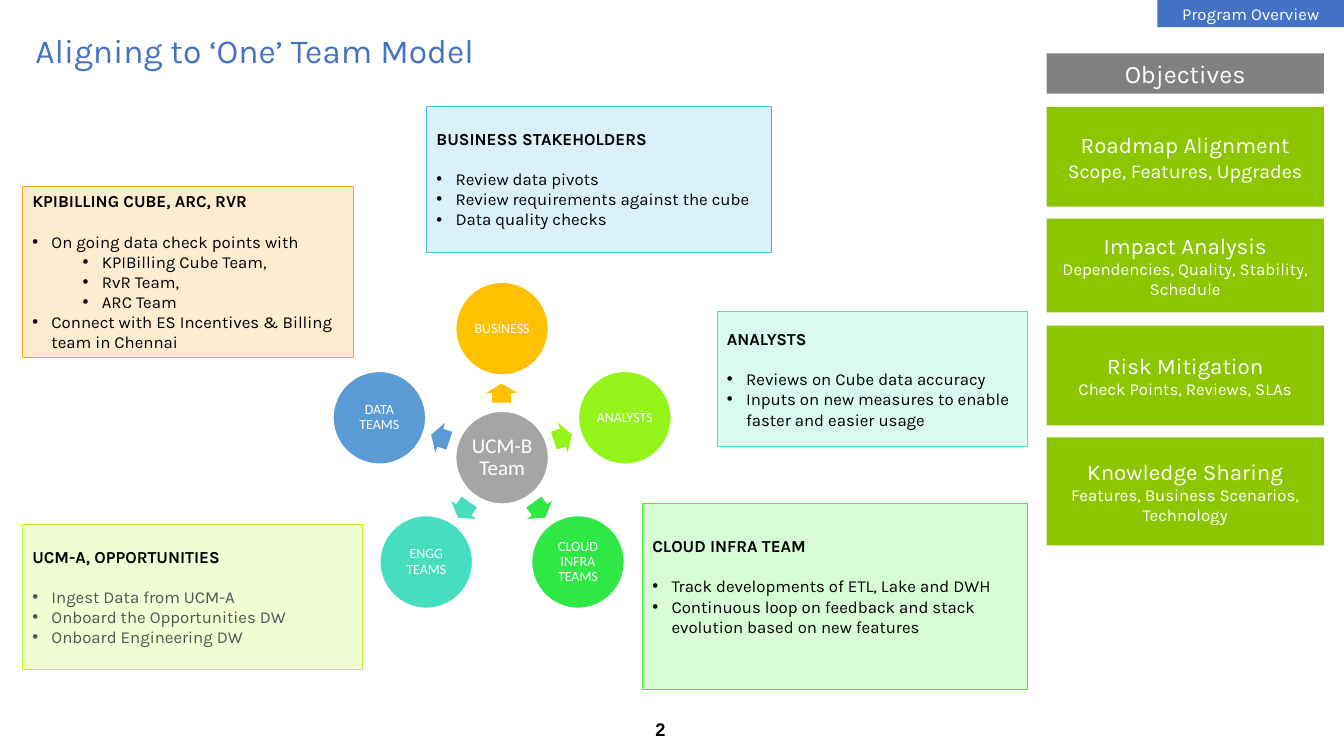
import math
from dataclasses import dataclass
from typing import Optional

from pptx import Presentation
from pptx import util as u
from pptx.dml.color import RGBColor
from pptx.enum import shapes, text
from pptx.oxml.xmlchemy import OxmlElement


@dataclass(frozen=True)
class Theme:
    font: str = "Karla"
    wheel_font: str = "Calibri"
    number_font: str = "Arial"
    blue: str = "4472C4"
    green: str = "8CC600"
    grey: str = "808080"
    hub: str = "A5A5A5"
    white: str = "FFFFFF"
    black: str = "000000"
    muted: str = "525252"
    title: float = 24
    header: float = 18
    objective: float = 16
    body: float = 12
    team: float = 10
    hub_size: float = 15
    number: float = 13


THEME = Theme()


@dataclass(frozen=True)
class Box:
    left: float
    top: float
    width: float
    height: float


@dataclass(frozen=True)
class Objective:
    top: float
    height: float
    name: str
    detail: str
    detail_size: float = THEME.body


@dataclass(frozen=True)
class Team:
    name: str
    color: str


@dataclass(frozen=True)
class Panel:
    box: Box
    color: str
    heading: str
    items: list[tuple[int, str]]  # indent level, wording
    item_color: str = THEME.black
    bottom_inset: float = 0.05


OBJECTIVES = [
    Objective(1.06, 0.99, "Roadmap Alignment", "Scope, Features, Upgrades", 14),
    Objective(2.17, 0.93, "Impact Analysis", "Dependencies, Quality, Stability, Schedule"),
    Objective(3.23, 0.99, "Risk Mitigation", "Check Points, Reviews, SLAs"),
    Objective(4.34, 1.07, "Knowledge Sharing", "Features, Business Scenarios, Technology"),
]

# Clockwise from the top
TEAMS = [
    Team("BUSINESS", "FFC000"),
    Team("ANALYSTS", "94F319"),
    Team("CLOUD INFRA TEAMS", "30E845"),
    Team("ENGG TEAMS", "46DEBF"),
    Team("DATA TEAMS", "5B9BD5"),
]

PANELS = [
    Panel(Box(7.11, 3.09, 3.08, 1.34), "3CEEAC", "ANALYSTS", [
        (0, "Reviews on Cube data accuracy"),
        (0, "Inputs on new measures to enable faster and easier usage")]),
    Panel(Box(6.37, 4.99, 3.82, 1.85), "39F231", "CLOUD INFRA TEAM", [
        (0, "Track developments of ETL, Lake and DWH"),
        (0, "Continuous loop on feedback and stack evolution based on new features")],
        bottom_inset=0.25),
    Panel(Box(0.22, 5.2, 3.37, 1.44), "BAF626", "UCM-A, OPPORTUNITIES", [
        (0, "Ingest Data from UCM-A"),
        (0, "Onboard the Opportunities DW"),
        (0, "Onboard Engineering DW")], item_color=THEME.muted),
    Panel(Box(0.22, 1.85, 3.28, 1.69), "FAA41A", "KPIBILLING CUBE, ARC, RVR", [
        (0, "On going data check points with"),
        (1, "KPIBilling Cube Team,"),
        (1, "RvR Team,"),
        (1, "ARC Team"),
        (0, "Connect with ES Incentives & Billing team in Chennai")]),
    Panel(Box(4.23, 1.05, 3.42, 1.45), "47BAEB", "BUSINESS STAKEHOLDERS", [
        (0, "Review data pivots"),
        (0, "Review requirements against the cube"),
        (0, "Data quality checks")]),
]


def rgb(color: str) -> RGBColor:
    return RGBColor.from_string(color)


def place(shape, box: Box) -> None:
    shape.left, shape.top = u.Inches(box.left), u.Inches(box.top)
    shape.width, shape.height = u.Inches(box.width), u.Inches(box.height)


def add_preset(slide, kind, box: Box, fill: str, line: Optional[str] = None):
    shape = slide.shapes.add_shape(kind, *map(
        u.Inches, (box.left, box.top, box.width, box.height)))
    shape.shadow.inherit = False
    shape.fill.solid()
    shape.fill.fore_color.rgb = rgb(fill)
    if line:
        shape.line.color.rgb = rgb(line)
        shape.line.width = u.Pt(1)
    else:
        shape.line.fill.background()
    return shape


def set_frame(shape, anchor=text.MSO_ANCHOR.MIDDLE, inset: Optional[float] = None):
    frame = shape.text_frame
    frame.word_wrap = True
    frame.auto_size = text.MSO_AUTO_SIZE.NONE
    frame.vertical_anchor = anchor
    if inset is not None:
        frame.margin_left = frame.margin_right = u.Inches(inset)
        frame.margin_top = frame.margin_bottom = u.Inches(inset)
    return frame


def add_line(frame, wording: str, size: float, color: str, font: str = THEME.font,
             bold: bool = False, align=text.PP_ALIGN.CENTER, spacing: float = 1.0):
    first = frame.paragraphs[0]
    paragraph = frame.add_paragraph() if first.runs else first
    paragraph.alignment = align
    paragraph.line_spacing = spacing
    paragraph.space_before = u.Pt(0)
    run = paragraph.add_run()
    run.text = wording
    run.font.name, run.font.size, run.font.bold = font, u.Pt(size), bold
    run.font.color.rgb = rgb(color)
    return paragraph


def set_indent(paragraph, left: float, first: float = 0, bullet: bool = False) -> None:
    props = paragraph._p.get_or_add_pPr()
    props.set("marL", str(u.Inches(left)))
    props.set("indent", str(u.Inches(first)))
    if bullet:
        face = OxmlElement("a:buFont")
        face.set("typeface", "Arial")
        mark = OxmlElement("a:buChar")
        mark.set("char", "•")
        props.extend([face, mark])
    else:
        props.append(OxmlElement("a:buNone"))


def fill_panel(shape, panel: Panel) -> None:
    place(shape, panel.box)
    shape.fill.solid()
    shape.fill.fore_color.rgb = rgb(panel.color)
    alpha = OxmlElement("a:alpha")
    alpha.set("val", "20000")
    shape.fill._xPr.solidFill.srgbClr.append(alpha)
    shape.line.color.rgb = rgb(panel.color)
    shape.line.width = u.Pt(0.25)
    frame = set_frame(shape)
    frame.margin_bottom = u.Inches(panel.bottom_inset)
    left = text.PP_ALIGN.LEFT
    heading = add_line(frame, panel.heading, THEME.body, THEME.black, bold=True, align=left)
    heading.space_after = u.Pt(14.4)
    set_indent(heading, 0)
    for level, wording in panel.items:
        item = add_line(frame, wording, THEME.body, panel.item_color, align=left)
        item.level = level
        set_indent(item, 0.19 + 0.5 * level, -0.19, bullet=True)


def add_circle(slide, x: float, y: float, name: str, color: str, size: float) -> None:
    diameter = 0.92
    box = Box(x - diameter / 2, y - diameter / 2, diameter, diameter)
    circle = add_preset(slide, shapes.MSO_SHAPE.OVAL, box, color, THEME.white)
    add_line(set_frame(circle, inset=0.01), name, size, THEME.white,
             THEME.wheel_font, spacing=0.9)


def add_wheel(slide) -> None:
    x, y, team_radius, arrow_radius = 4.98, 4.54, 1.28, 0.64
    add_circle(slide, x, y, "UCM-B Team", THEME.hub, THEME.hub_size)
    for index, team in enumerate(TEAMS):
        angle = 360 / len(TEAMS) * index - 90
        dx, dy = math.cos(math.radians(angle)), math.sin(math.radians(angle))
        box = Box(x + arrow_radius * dx - 0.1, y + arrow_radius * dy - 0.155, 0.19, 0.31)
        arrow = add_preset(slide, shapes.MSO_SHAPE.RIGHT_ARROW, box, team.color)
        arrow.adjustments[0], arrow.adjustments[1] = 0.6, 0.5
        arrow.rotation = angle % 360
        add_circle(slide, x + team_radius * dx, y + team_radius * dy,
                   team.name, team.color, THEME.team)


def add_banner(slide, box: Box, fill: str, lines: list[tuple[str, float]]) -> None:
    frame = set_frame(add_preset(slide, shapes.MSO_SHAPE.RECTANGLE, box, fill))
    for wording, size in lines:
        add_line(frame, wording, size, THEME.white)


def main() -> None:
    deck = Presentation()
    deck.slide_width, deck.slide_height = u.Inches(13.33), u.Inches(7.5)
    slide = deck.slides.add_slide(deck.slide_layouts.get_by_name("Comparison"))

    # Title
    title = slide.shapes.title
    place(title, Box(0, 0.02, 13.33, 0.73))
    heading = add_line(set_frame(title, text.MSO_ANCHOR.BOTTOM), "Aligning to ‘One’ Team Model",
                       THEME.title, THEME.blue, align=text.PP_ALIGN.LEFT, spacing=0.9)
    set_indent(heading, 0.25)

    # Objectives column and corner tag
    add_banner(slide, Box(10.38, 0.53, 2.75, 0.4), THEME.grey, [("Objectives", THEME.header)])
    for goal in OBJECTIVES:
        add_banner(slide, Box(10.38, goal.top, 2.75, goal.height), THEME.green,
                   [(goal.name, THEME.objective), (goal.detail, goal.detail_size)])
    add_banner(slide, Box(11.48, 0, 1.85, 0.27), THEME.blue, [("Program Overview", THEME.body)])

    # Team wheel
    add_wheel(slide)

    # Team panels: four layout bodies and one more box
    bodies = [body for body in slide.placeholders if body.placeholder_format.idx > 0]
    bodies.append(slide.shapes.add_textbox(0, 0, 0, 0))
    for body, panel in zip(bodies, PANELS):
        fill_panel(body, panel)

    # Page number
    page = slide.shapes.add_textbox(0, 0, 0, 0)
    place(page, Box(6.4, 7.1, 0.3, 0.26))
    add_line(set_frame(page, inset=0.02), "2", THEME.number, THEME.black,
             THEME.number_font, bold=True)

    deck.save("out.pptx")


if __name__ == "__main__":
    main()
